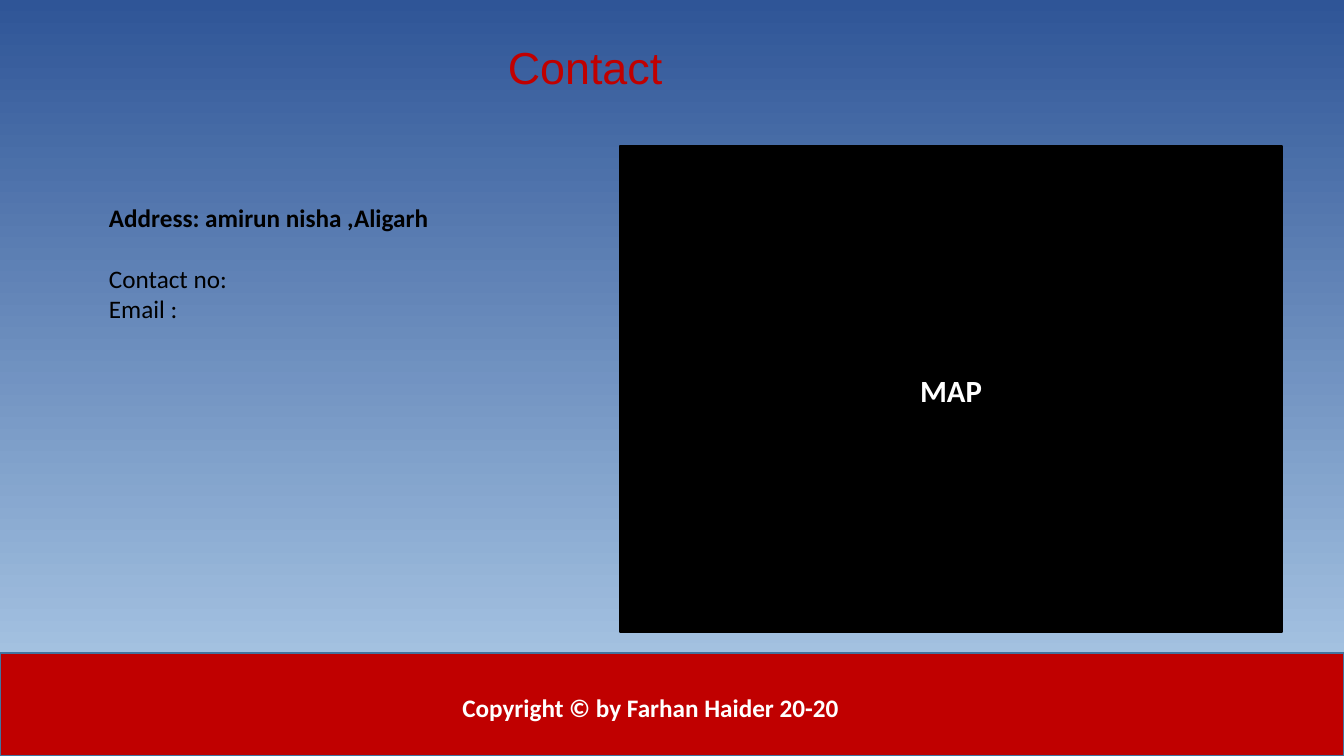
from dataclasses import dataclass

from pptx import Presentation
from pptx.dml.color import RGBColor
from pptx.enum.shapes import MSO_SHAPE
from pptx.enum.text import MSO_ANCHOR, PP_ALIGN
from pptx.util import Emu, Pt

RECTANGLE = MSO_SHAPE.RECTANGLE
MIDDLE = MSO_ANCHOR.MIDDLE
CENTER = PP_ALIGN.CENTER
EMU_PER_PX = 914400 / 100.8


@dataclass(frozen=True)
class Theme:
    sky_top: str = "2F5597"
    sky_bottom: str = "B5D2EC"
    red: str = "C00000"
    bar_edge: str = "43739E"
    black: str = "000000"
    white: str = "FFFFFF"
    heading_font: str = "Arial"
    body_font: str = "Calibri"
    heading_size: int = 32
    map_size: int = 22
    body_size: int = 18


def px(length):
    return Emu(round(length * EMU_PER_PX))


def rgb(color):
    return RGBColor.from_string(color)


class SlideBuilder:
    def __init__(self, slide, theme):
        self.slide = slide
        self.theme = theme

    def background(self):
        fill = self.slide.background.fill
        fill.gradient()
        fill.gradient_angle = 270
        colors = (self.theme.sky_top, self.theme.sky_bottom)
        for stop, color in zip(fill.gradient_stops, colors):
            stop.color.rgb = rgb(color)

    def style(self, paragraph, size, color, bold=False, font=None):
        for run in paragraph.runs:
            run.font.name = font or self.theme.body_font
            run.font.size = Pt(size)
            run.font.bold = bold
            run.font.color.rgb = rgb(color)

    def text(self, box, lines, size, color, wrap=True, font=None):
        frame = self.slide.shapes.add_textbox(*map(px, box)).text_frame
        frame.word_wrap = wrap
        frame.text = "\n".join(content for content, bold, gap in lines)
        for paragraph, (content, bold, gap) in zip(frame.paragraphs, lines):
            if gap:
                paragraph.space_before = Pt(gap)
            self.style(paragraph, size, color, bold, font)

    def panel(self, box, fill, edge):
        panel = self.slide.shapes.add_shape(RECTANGLE, *map(px, box))
        panel.shadow.inherit = False
        panel.fill.solid()
        panel.fill.fore_color.rgb = rgb(fill)
        panel.line.color.rgb = rgb(edge)
        panel.line.width = Pt(1)
        return panel

    def labelled_panel(self, box, fill, label, size):
        frame = self.panel(box, fill, fill).text_frame
        frame.word_wrap = True
        frame.vertical_anchor = MIDDLE
        frame.text = label
        paragraph = frame.paragraphs[0]
        paragraph.alignment = CENTER
        self.style(paragraph, size, self.theme.white, bold=True)
        return paragraph


def main():
    deck = Presentation()
    deck.slide_width, deck.slide_height = px(1344), px(756)
    theme = Theme()
    contact = SlideBuilder(deck.slides.add_slide(deck.slide_layouts[6]), theme)

    contact.background()
    contact.text((498, 35, 315, 65), [("Contact", False, 0)],
                 theme.heading_size, theme.red, font=theme.heading_font)
    details = [
        ("Address: amirun nisha ,Aligarh", True, 0),
        ("Contact no:", False, 22),
        ("Email :", False, 0),
    ]
    contact.text((99, 197, 348, 163), details, theme.body_size, theme.black, wrap=False)

    map_label = contact.labelled_panel((620, 146, 662, 486), theme.black, "MAP", theme.map_size)
    map_label.line_spacing = 1.07
    map_label.space_after = Pt(8)

    contact.panel((0, 653, 1344, 103), theme.red, theme.bar_edge)
    contact.labelled_panel((394, 679, 513, 56), theme.red,
                           "Copyright © by Farhan Haider 20-20", theme.body_size)
    deck.save("out.pptx")


if __name__ == "__main__":
    main()
